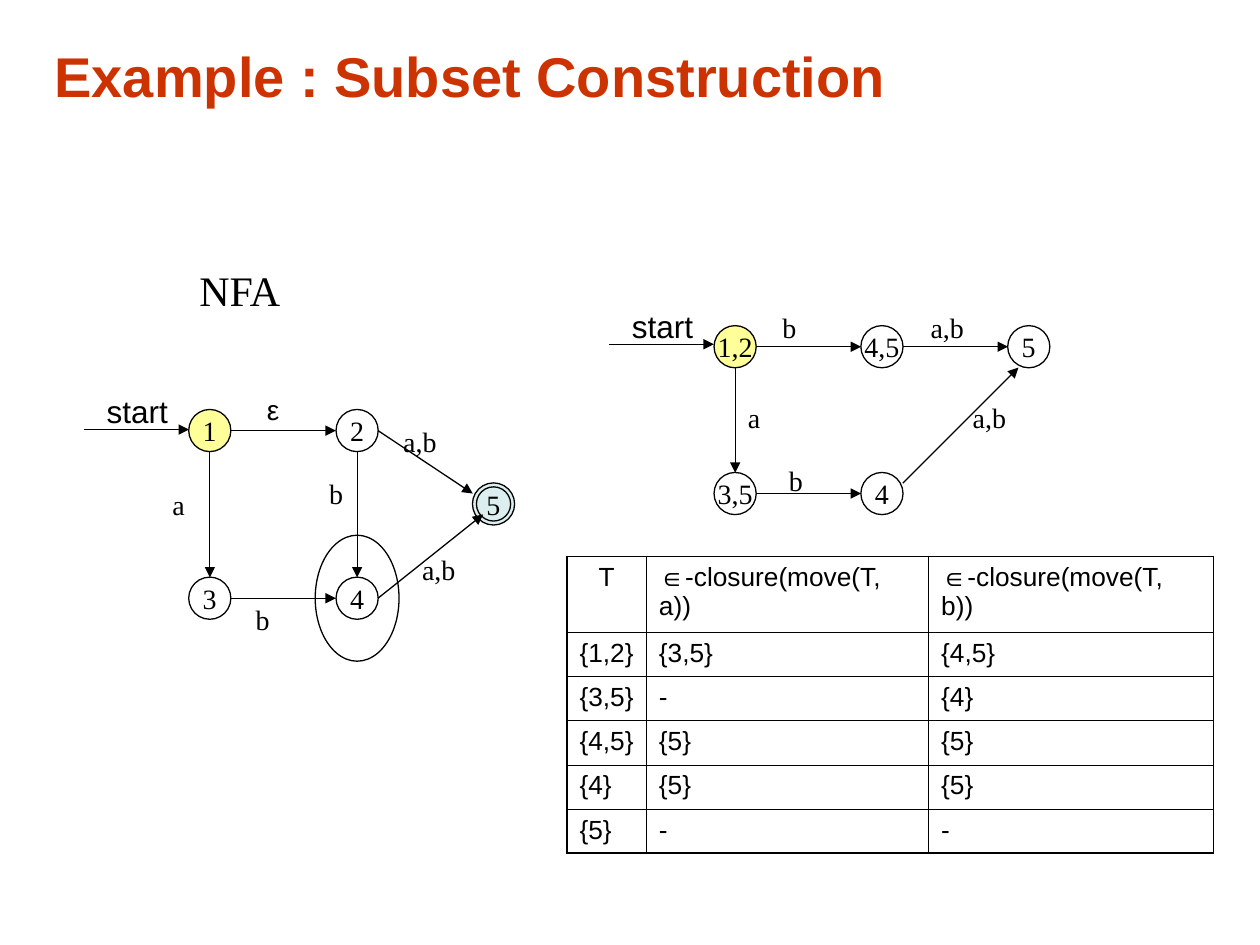
"""Build the subset construction slide with its NFA, DFA and move table."""
from lxml.etree import SubElement
from pptx import Presentation
from pptx.dml.color import RGBColor
from pptx.enum.shapes import MSO_CONNECTOR, MSO_SHAPE
from pptx.enum.text import MSO_ANCHOR, MSO_AUTO_SIZE, PP_ALIGN
from pptx.oxml import parse_xml
from pptx.oxml.ns import nsdecls, qn
from pptx.util import Cm, Pt

SERIF, SANS = "Times New Roman", "Arial"
BLACK, YELLOW, WHITE, BLUE = "000000", "FFFF99", "FFFFFF", "BBE0E3"


def write(frame, text, size, font, align=PP_ALIGN.CENTER, color=BLACK, bold=False):
    paragraph = frame.paragraphs[0]
    paragraph.alignment = align
    run = paragraph.add_run()
    run.text = text
    run.font.size = Pt(size)
    run.font.name = font
    run.font.bold = bold
    run.font.color.rgb = RGBColor.from_string(color)


def add_ellipse(center_x, center_y, width, height, fill=None):
    shape = slide.shapes.add_shape(
        MSO_SHAPE.OVAL, Cm(center_x - width / 2), Cm(center_y - height / 2), Cm(width), Cm(height))
    shape.shadow.inherit = False
    shape.line.color.rgb = RGBColor.from_string(BLACK)
    shape.line.width = Pt(0.75)
    if fill:
        shape.fill.solid()
        shape.fill.fore_color.rgb = RGBColor.from_string(fill)
    else:
        shape.fill.background()
    return shape


presentation = Presentation()
presentation.slide_width, presentation.slide_height = Cm(25.4), Cm(19.05)
slide = presentation.slides.add_slide(presentation.slide_layouts[6])

title = slide.shapes.add_textbox(Cm(0.85), Cm(0.62), Cm(23.88), Cm(1.78))
title.text_frame.word_wrap = True
title.text_frame.vertical_anchor = MSO_ANCHOR.MIDDLE
write(title.text_frame, "Example : Subset Construction", 32, SANS, PP_ALIGN.LEFT, "CC3300", True)

diameter = 0.85
states = [
    ("1", 4.23, 8.68, YELLOW), ("5", 9.95, 10.16, BLUE), ("2", 7.2, 8.68, WHITE),
    ("4", 7.2, 12.06, WHITE), ("3", 4.23, 12.06, WHITE),
    ("1,2", 14.82, 6.99, YELLOW), ("4,5", 17.78, 6.99, None), ("5", 20.74, 6.99, None),
    ("3,5", 14.82, 9.95, None), ("4", 17.78, 9.95, None),
]
for name, x, y, fill in states:
    state = add_ellipse(x, y, diameter, diameter, fill)
    state.text_frame.word_wrap = False
    state.text_frame.vertical_anchor = MSO_ANCHOR.MIDDLE
    write(state.text_frame, name, 16, SERIF)
    if fill == BLUE:
        color = state.fill._xPr.find(qn("a:solidFill"))[0]
        SubElement(color, qn("a:alpha"), val="50000")

arrows = [
    (4.66, 8.68, 6.77, 8.68), (7.2, 9.1, 7.2, 11.64), (4.23, 9.1, 4.23, 11.64),
    (4.66, 12.06, 6.77, 12.06), (7.62, 12.06, 9.74, 10.37), (7.62, 8.68, 9.53, 9.95),
    (15.24, 6.99, 17.36, 6.99), (18.2, 6.99, 20.32, 6.99), (14.82, 7.41, 14.82, 9.53),
    (15.24, 9.95, 17.36, 9.95), (18.2, 9.74, 20.53, 7.41),
    (12.28, 6.94, 14.39, 6.94), (1.69, 8.66, 3.81, 8.66),
]
for points in arrows:
    arrow = slide.shapes.add_connector(MSO_CONNECTOR.STRAIGHT, *[Cm(value) for value in points])
    arrow.line.color.rgb = RGBColor.from_string(BLACK)
    arrow.line.width = Pt(0.75)
    SubElement(arrow.line._get_or_add_ln(), qn("a:tailEnd"), type="triangle")
    SubElement(arrow._element.spPr, qn("a:effectLst"))

labels = [
    ("ε", 5.13, 7.78, 0.74, 16, SANS), ("b", 4.9, 12.02, 0.79, 16, SERIF),
    ("a", 3.22, 9.7, 0.76, 16, SERIF), ("b", 6.38, 9.48, 0.79, 16, SERIF),
    ("a,b", 7.84, 8.43, 1.25, 16, SERIF), ("a,b", 8.22, 11.01, 1.25, 16, SERIF),
    ("NFA", 3.77, 5.21, 2.2, 24, SERIF),
    ("a,b", 18.47, 6.14, 1.25, 16, SERIF), ("a,b", 19.32, 7.96, 1.25, 16, SERIF),
    ("b", 15.52, 6.14, 0.79, 16, SERIF), ("a", 14.82, 7.96, 0.76, 16, SERIF),
    ("b", 15.65, 9.23, 0.79, 16, SERIF),
    ("start", 12.49, 6.07, 1.8, 18, SANS), ("start", 1.9, 7.77, 1.8, 18, SANS),
]
for text, left, top, width, size, font in labels:
    label = slide.shapes.add_textbox(Cm(left), Cm(top), Cm(width), Cm(size * 0.04 + 0.3))
    label.text_frame.word_wrap = False
    label.text_frame.auto_size = MSO_AUTO_SIZE.SHAPE_TO_FIT_TEXT
    write(label.text_frame, text, size, font, PP_ALIGN.LEFT if size > 16 else PP_ALIGN.CENTER)

rows = [
    ("T", "∈-closure(move(T, a))", "∈-closure(move(T, b))"),
    ("{1,2}", "{3,5}", "{4,5}"),
    ("{3,5}", "-", "{4}"),
    ("{4,5}", "{5}", "{5}"),
    ("{4}", "{5}", "{5}"),
    ("{5}", "-", "-"),
]
column_widths = [1.6, 5.69, 5.74]
row_heights = [1.53] + [0.89] * 5
table = slide.shapes.add_table(
    len(rows), len(column_widths), Cm(11.43), Cm(11.22),
    Cm(sum(column_widths)), Cm(sum(row_heights))).table
table.first_row = table.horz_banding = False
for column, width in zip(table.columns, column_widths):
    column.width = Cm(width)
for row, height in zip(table.rows, row_heights):
    row.height = Cm(height)
for row_index, row in enumerate(rows):
    for column_index, text in enumerate(row):
        cell = table.cell(row_index, column_index)
        cell.fill.background()
        write(cell.text_frame, text, 15, SANS, PP_ALIGN.CENTER if text == "T" else PP_ALIGN.LEFT)
        outer_edges = {
            "lnL": column_index == 0, "lnR": column_index == len(row) - 1,
            "lnT": row_index == 0, "lnB": row_index == len(rows) - 1,
        }
        for position, (edge, outer) in enumerate(outer_edges.items()):
            border = parse_xml(
                f'<a:{edge} {nsdecls("a")} w="{Pt(1.08 if outer else 0.45)}">'
                f'<a:solidFill><a:srgbClr val="{BLACK}"/></a:solidFill></a:{edge}>')
            cell._tc.get_or_add_tcPr().insert(position, border)

add_ellipse(7.2, 12.06, 1.69, 2.54)
add_ellipse(9.95, 10.16, 0.69, 0.69)

presentation.save("out.pptx")
